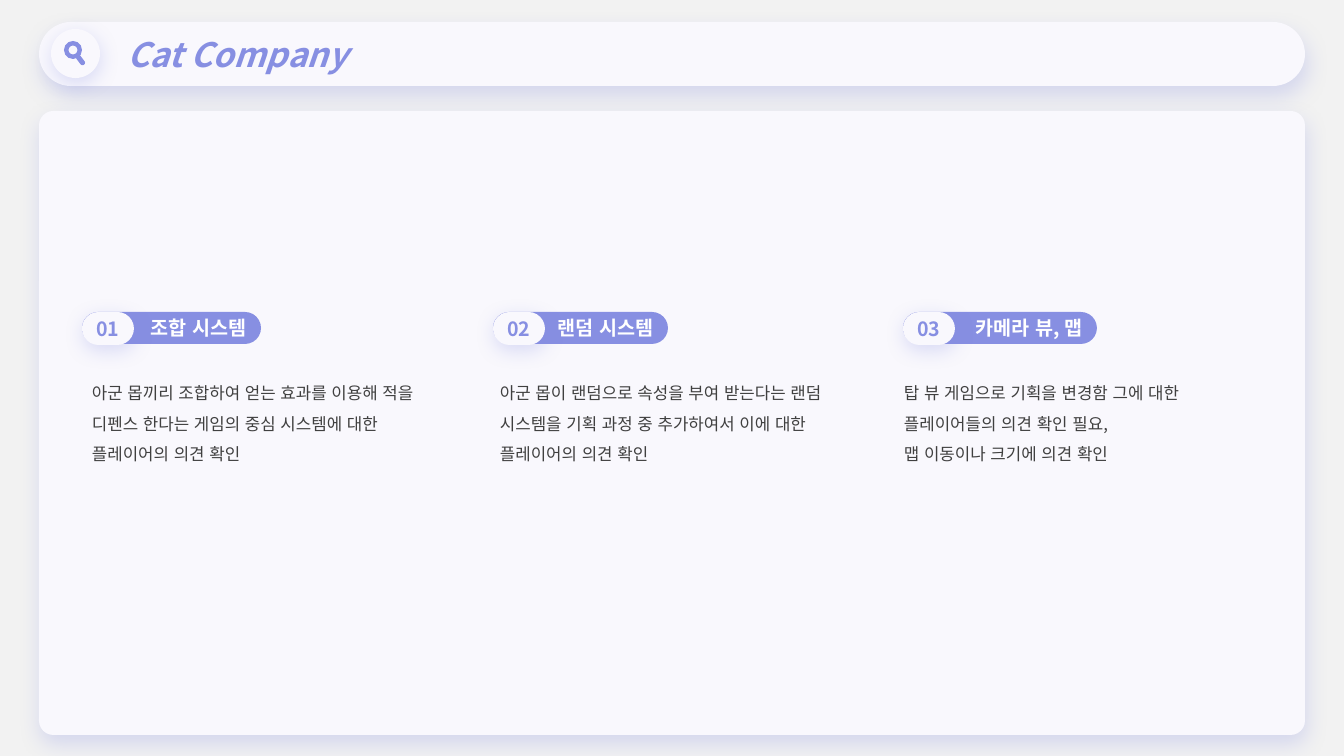
from dataclasses import dataclass

from lxml import etree
from pptx import Presentation
from pptx.dml.color import RGBColor
from pptx.enum.lang import MSO_LANGUAGE_ID
from pptx.enum.shapes import MSO_SHAPE
from pptx.enum.text import MSO_ANCHOR, MSO_AUTO_SIZE, PP_ALIGN
from pptx.oxml.ns import qn
from pptx.util import Emu, Pt

ROUND, OVAL, DONUT = MSO_SHAPE.ROUNDED_RECTANGLE, MSO_SHAPE.OVAL, MSO_SHAPE.DONUT
LEFT, CENTER, RIGHT = PP_ALIGN.LEFT, PP_ALIGN.CENTER, PP_ALIGN.RIGHT
MIDDLE = MSO_ANCHOR.MIDDLE
FIT_SHAPE = MSO_AUTO_SIZE.SHAPE_TO_FIT_TEXT
KOREAN = MSO_LANGUAGE_ID.KOREAN


@dataclass(frozen=True)
class Theme:
    font: str = "Noto Sans CJK KR"
    back: str = "F2F2F2"
    card: str = "F9F8FD"
    accent: str = "878FE2"
    white: str = "FFFFFF"
    ink: str = "404040"
    title: int = 24
    label: int = 14
    body: int = 12
    wide_shadow: tuple = (16, 7)  # blur and distance, points
    small_shadow: tuple = (14, 4)


THEME = Theme()

# Number, label, badge left, label right edge, text left, paragraphs
TOPICS = [
    ("01", "조합 시스템", 82, 261, 82,
     ["아군 몹끼리 조합하여 얻는 효과를 이용해 적을 디펜스 한다는 게임의 중심 시스템에 대한 "
      "플레이어의 의견 확인"]),
    ("02", "랜덤 시스템", 493, 668, 490,
     ["아군 몹이 랜덤으로 속성을 부여 받는다는 랜덤 시스템을 기획 과정 중 추가하여서 이에 대한 "
      "플레이어의 의견 확인"]),
    ("03", "카메라 뷰, 맵", 903, 1097, 894,
     ["탑 뷰 게임으로 기획을 변경함 그에 대한 플레이어들의 의견 확인 필요,",
      "맵 이동이나 크기에 의견 확인"]),
]


def px(n):
    return Emu(round(n * 914400 / 100.8))


def add_shadow(sp, blur, distance):
    effects = sp._element.spPr.find(qn("a:effectLst"))
    shadow = etree.SubElement(effects, qn("a:outerShdw"), blurRad=str(Pt(blur)),
                              dist=str(Pt(distance)), dir=str(80 * 60000),
                              algn="t", rotWithShape="0")
    color = etree.SubElement(shadow, qn("a:srgbClr"), val=THEME.accent)
    etree.SubElement(color, qn("a:alpha"), val="27000")


def add_block(shapes, kind, box, fill, adj=None, shadow=None):
    sp = shapes.add_shape(kind, *map(px, box))
    sp.fill.solid()
    sp.fill.fore_color.rgb = RGBColor.from_string(fill)
    sp.line.fill.background()
    sp.shadow.inherit = False
    if adj is not None:
        sp.adjustments[0] = adj
    if shadow:
        add_shadow(sp, *shadow)
    return sp


def add_run(p, text, size, color, bold=False, italic=False):
    r = p.add_run()
    r.text = text
    font = r.font
    font.name, font.size = THEME.font, Pt(size)
    font.bold, font.italic = bold, italic
    font.color.rgb = RGBColor.from_string(color)
    font.language_id = KOREAN
    latin = r._r.rPr.find(qn("a:latin"))
    latin.addnext(latin.makeelement(qn("a:ea"), {"typeface": THEME.font}))


def set_label(sp, text, size, color, align, wrap=True, italic=False):
    tf = sp.text_frame
    tf.word_wrap = wrap
    tf.vertical_anchor = MIDDLE
    p = tf.paragraphs[0]
    p.alignment = align
    add_run(p, text, size, color, bold=True, italic=italic)
    return p


def add_frame(slide):
    shapes = slide.shapes.add_group_shape().shapes
    # Title bar
    bar = add_block(shapes, ROUND, (39, 22, 1266, 64), THEME.card, 0.5, THEME.wide_shadow)
    p = set_label(bar, "Cat Company", THEME.title, THEME.accent, LEFT, italic=True)
    pPr = p._p.get_or_add_pPr()
    pPr.set("marL", str(px(69)))
    pPr.set("indent", "0")
    # Search icon
    add_block(shapes, OVAL, (51, 29, 49, 49), THEME.card, shadow=THEME.small_shadow)
    add_block(shapes, DONUT, (64, 41, 18, 18), THEME.accent)
    handle = add_block(shapes, ROUND, (78, 54, 5, 12), THEME.accent, 0.5)
    handle.rotation = 322.9
    # Content panel
    add_block(shapes, ROUND, (39, 111, 1266, 624), THEME.card, 0.023, THEME.wide_shadow)


def add_tag(slide, number, label, left, right):
    shapes = slide.shapes.add_group_shape().shapes
    pill = add_block(shapes, ROUND, (left, 312, right - left, 32), THEME.accent, 0.5)
    set_label(pill, label, THEME.label, THEME.white, RIGHT)
    badge = add_block(shapes, ROUND, (left, 312, 52, 33), THEME.card, 0.5, THEME.small_shadow)
    set_label(badge, number, THEME.label, THEME.accent, CENTER, wrap=False)


def add_body(slide, left, paragraphs):
    tf = slide.shapes.add_textbox(*map(px, (left, 368, 358, 98))).text_frame
    tf.word_wrap = True
    tf.auto_size = FIT_SHAPE
    for i, text in enumerate(paragraphs):
        p = tf.add_paragraph() if i else tf.paragraphs[0]
        p.line_spacing = 1.5
        add_run(p, text, THEME.body, THEME.ink)


def main():
    prs = Presentation()
    prs.slide_width, prs.slide_height = px(1344), px(756)
    slide = prs.slides.add_slide(prs.slide_layouts[6])
    slide.background.fill.solid()
    slide.background.fill.fore_color.rgb = RGBColor.from_string(THEME.back)

    add_frame(slide)
    # Three topics
    for number, label, left, right, text_left, paragraphs in TOPICS:
        add_tag(slide, number, label, left, right)
        add_body(slide, text_left, paragraphs)

    prs.save("out.pptx")


if __name__ == "__main__":
    main()
